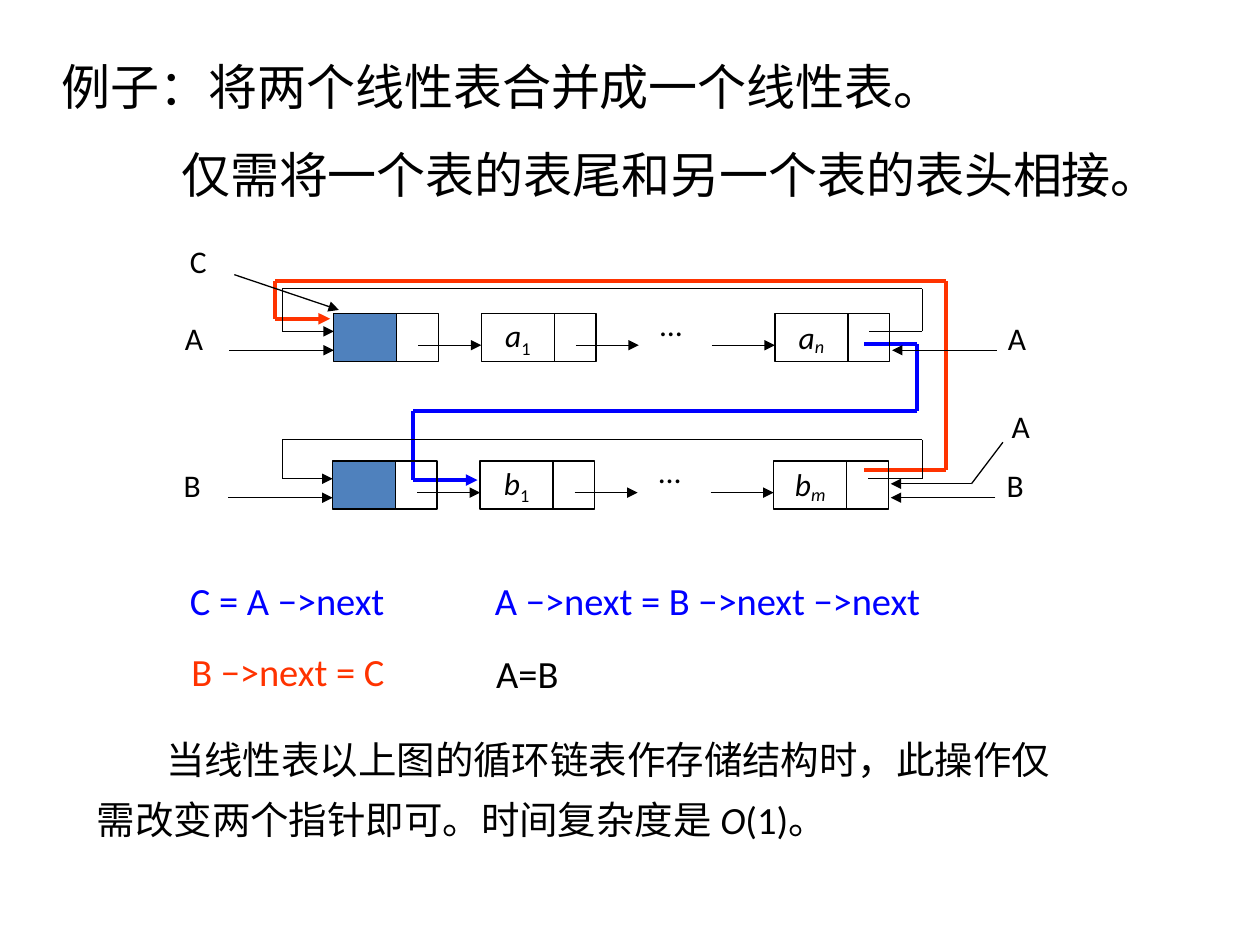
from lxml.etree import SubElement
from pptx import Presentation
from pptx.dml.color import RGBColor
from pptx.enum.shapes import MSO_CONNECTOR, MSO_SHAPE
from pptx.enum.text import MSO_ANCHOR, MSO_AUTO_SIZE, PP_ALIGN
from pptx.oxml.ns import qn
from pptx.util import Inches, Pt

COLORS = {"black": "000000", "blue": "0000FF", "red": "FF3300", "head": "4F81BD"}
FONT = "Calibri"

# Grid of one linked list, in inches from its left and top
CELL_H = 0.38
HEAD_W, DATA_W, NEXT_W = 0.5, 0.58, 0.33
LINK_START, LINK_W = 0.17, 0.5
FIRST_X = HEAD_W + LINK_START + LINK_W
DOTS_X = FIRST_X + DATA_W + LINK_START + LINK_W
LAST_X = 3.5
END_X = LAST_X + DATA_W + NEXT_W
LINK_Y, LOOP_Y, POINTER_Y = 0.25, 0.14, 0.29
LOOP_LEFT, LOOP_RIGHT = 2.24, 7.32


def color(name):
    return RGBColor.from_string(COLORS[name])


def style_run(run, size, ink="black", italic=False):
    run.font.name, run.font.size = FONT, Pt(size)
    run.font.color.rgb = color(ink)
    run.font.italic = italic


def fill_text(frame, lines, size, ink="black", spacing=None):
    """Each line is a list of (text, italic) runs."""
    frame.word_wrap = True
    frame.auto_size = MSO_AUTO_SIZE.NONE
    for i, parts in enumerate(lines):
        paragraph = frame.paragraphs[0] if i == 0 else frame.add_paragraph()
        paragraph.alignment = PP_ALIGN.LEFT
        if spacing:
            paragraph.line_spacing = spacing
        for text, italic in parts:
            run = paragraph.add_run()
            run.text = text
            style_run(run, size, ink, italic)


def add_label(slide, text, x, y, w=0.4, h=0.4, size=18, ink="black"):
    label = slide.shapes.add_textbox(*map(Inches, (x, y, w, h)))
    fill_text(label.text_frame, [[(text, False)]], size, ink)


def add_route(slide, points, ink="black", width=0.75, arrow=True):
    """Straight segments through the points, with an arrowhead on the last."""
    for start, end in zip(points, points[1:]):
        segment = slide.shapes.add_connector(
            MSO_CONNECTOR.STRAIGHT, *map(Inches, (*start, *end)))
        segment.line.color.rgb = color(ink)
        segment.line.width = Pt(width)
        SubElement(segment._element.spPr, qn("a:effectLst"))
    if arrow:
        SubElement(segment.line._get_or_add_ln(), qn("a:tailEnd"), type="triangle")


def add_cell(slide, x, y, w, fill=None, name="", index=""):
    cell = slide.shapes.add_shape(
        MSO_SHAPE.RECTANGLE, *map(Inches, (x, y, w, CELL_H)))
    cell.shadow.inherit = False
    cell.line.color.rgb = color("black")
    cell.line.width = Pt(0.75)
    if fill:
        cell.fill.solid()
        cell.fill.fore_color.rgb = color(fill)
    else:
        cell.fill.background()
    if name:
        frame = cell.text_frame
        frame.word_wrap = False
        frame.vertical_anchor = MSO_ANCHOR.MIDDLE
        paragraph = frame.paragraphs[0]
        paragraph.alignment = PP_ALIGN.CENTER
        for text in (name, index):
            run = paragraph.add_run()
            run.text = text
            style_run(run, 18, italic=text.isalpha())
        run.font._element.set("baseline", "-14000" if index.isalpha() else "-25000")


def add_list(slide, left, top, name, last_index, pointer, loop_lift):
    # Head node, first node and last node
    add_cell(slide, left, top, HEAD_W, fill="head")
    add_cell(slide, left + HEAD_W, top, NEXT_W)
    for offset, index in ((FIRST_X, "1"), (LAST_X, last_index)):
        add_cell(slide, left + offset, top, DATA_W, name=name, index=index)
        add_cell(slide, left + offset + DATA_W, top, NEXT_W)
    add_label(slide, "…", left + DOTS_X + 0.07, top - 0.12, w=0.68)

    # Links between nodes
    for end in (FIRST_X, DOTS_X, LAST_X):
        y = top + LINK_Y
        add_route(slide, [(left + end - LINK_W, y), (left + end, y)])

    # Circular link from the last node to the head
    y, lifted = top + LOOP_Y, top - loop_lift
    add_route(slide, [(left + LAST_X + DATA_W + LINK_START, y), (LOOP_RIGHT, y),
                      (LOOP_RIGHT, lifted), (LOOP_LEFT, lifted),
                      (LOOP_LEFT, y), (left, y)])

    # Named pointers on both sides
    y = top + POINTER_Y
    for tip, tail, label_x in ((0, -0.83, -1.28), (END_X + 0.02, END_X + 0.85, 5.25)):
        add_route(slide, [(left + tail, y), (left + tip, y)])
        add_label(slide, pointer, left + label_x, top - 0.01)


def add_title(slide, text):
    title = slide.shapes.title
    title.left, title.top, title.width, title.height = map(
        Inches, (0.39, 0.26, 8.94, 0.66))
    title.text_frame.vertical_anchor = MSO_ANCHOR.TOP
    fill_text(title.text_frame, [[(text, False)]], 28, spacing=1.3)


def add_conclusion(slide):
    box = slide.shapes.add_textbox(*map(Inches, (0.67, 5.68, 7.93, 1.02)))
    fill_text(box.text_frame, [
        [("当线性表以上图的循环链表作存储结构时，此操作仅", False)],
        [("需改变两个指针即可。时间复杂度是 ", False), ("O", True), ("(1)。", False)],
    ], 22, spacing=1.3)
    first_line = box.text_frame.paragraphs[0]._p.get_or_add_pPr()
    first_line.set("indent", str(Inches(0.55)))


def main():
    deck = Presentation()
    deck.slide_width, deck.slide_height = Inches(10), Inches(7.5)
    slide = deck.slides.add_slide(deck.slide_layouts[5])

    # Heading
    add_title(slide, "例子：将两个线性表合并成一个线性表。")
    add_label(slide, "仅需将一个表的表尾和另一个表的表头相接。",
              1.34, 1.1, 7.83, 0.57, size=28)

    # New links that merge the lists
    add_route(slide, [(6.86, 2.73), (7.28, 2.73), (7.28, 3.26), (3.28, 3.26),
                      (3.28, 3.81), (3.79, 3.81)], "blue", 2.25)
    add_route(slide, [(6.86, 3.73), (7.51, 3.73), (7.51, 2.23), (2.18, 2.23),
                      (2.18, 2.53), (2.62, 2.53)], "red", 2.25)

    # The two circular lists
    add_list(slide, 2.65, 2.49, "a", "n", "A", 0.2)
    add_list(slide, 2.64, 3.66, "b", "m", "B", 0.17)

    # Pointer C and the moved pointer A
    add_label(slide, "C", 1.41, 1.87)
    add_route(slide, [(1.86, 2.18), (2.69, 2.46)])
    add_label(slide, "A", 7.93, 3.18)
    add_route(slide, [(7.96, 3.51), (7.71, 3.84), (7.07, 3.84)])

    # Statements
    for code, x, y, w, ink in (
            ("C = A −>next", 1.41, 4.53, 1.87, "blue"),
            ("A −>next = B −>next −>next", 3.83, 4.53, 3.79, "blue"),
            ("B −>next = C", 1.42, 5.09, 1.86, "red"),
            ("A=B", 3.84, 5.11, 0.76, "black")):
        add_label(slide, code, x, y, w, 0.47, size=22, ink=ink)

    add_conclusion(slide)
    deck.save("out.pptx")


if __name__ == "__main__":
    main()
